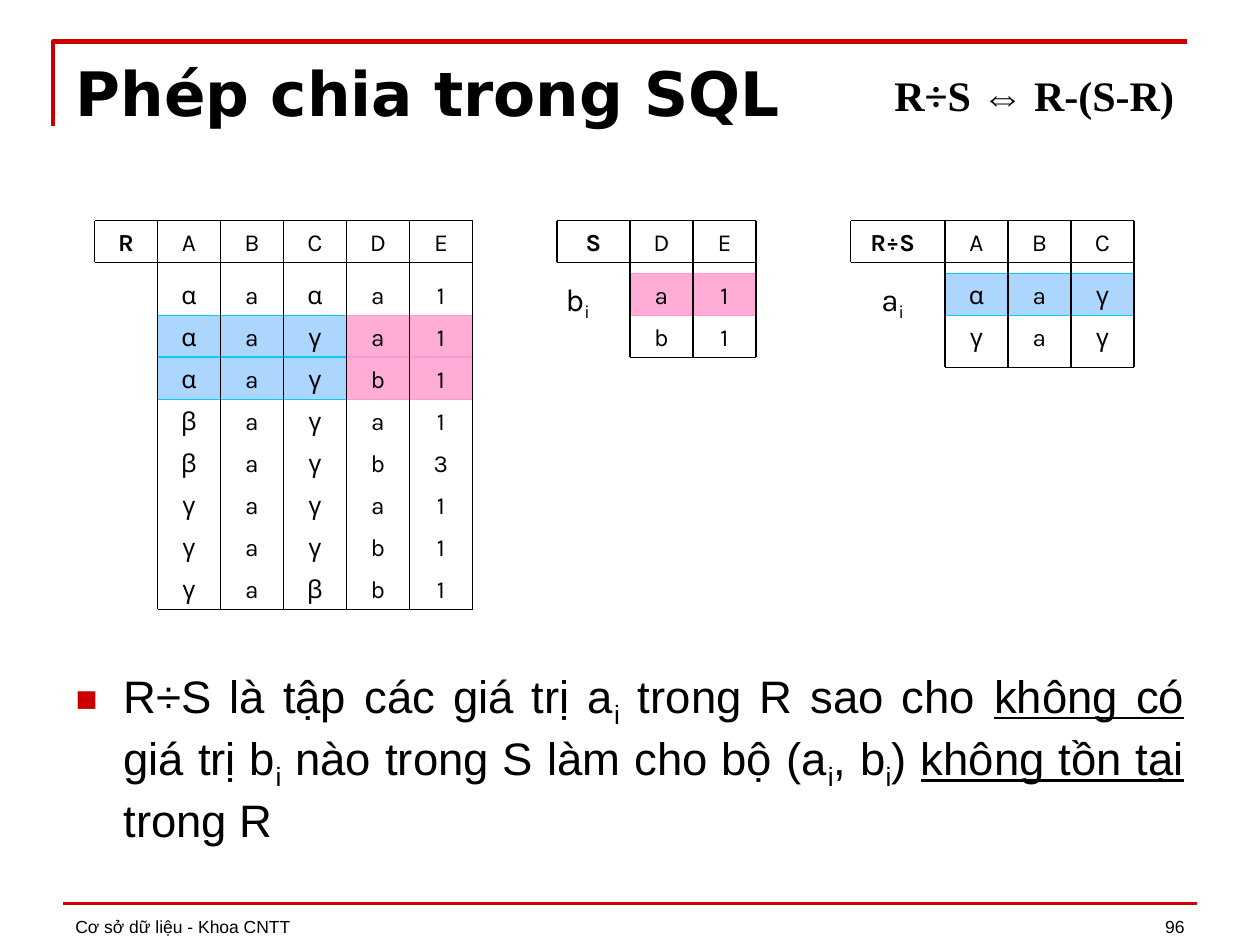
"""Build the slide on relational division in SQL."""
from lxml import etree
from pptx import Presentation
from pptx import util as u
from pptx.dml.color import RGBColor
from pptx.enum import shapes, text
from pptx.oxml.ns import qn

COLORS = {"black": "000000", "red": "CC0000",
          "pink": "FF99CC", "pink_line": "FF99CC",
          "blue": "99CCFF", "blue_line": "00CCFF"}
TITLE = "Phép chia trong SQL"
FORMULA = "R÷S ⇔ R-(S-R)"
FOOTER = "Cơ sở dữ liệu - Khoa CNTT"
PAGE_NUMBER = "96"
DEFINITION = [
    ("R÷S là tập các giá trị a", ""), ("i", "sub"), (" trong R sao cho ", ""),
    ("không có", "underline"), (" giá trị b", ""), ("i", "sub"),
    (" nào trong S làm cho bộ (a", ""), ("i", "sub"), (", b", ""), ("i", "sub"),
    (") ", ""), ("không tồn tại", "underline"), (" trong R", ""),
]
RELATIONS = [
    {"name": "R", "left": 0.75, "grid_left": 1.25, "name_width": 0.5, "padding": 0,
     "columns": "ABCDE",
     "rows": ["αaαa1", "αaγa1", "αaγb1", "βaγa1", "βaγb3", "γaγa1", "γaγb1", "γaβb1"]},
    {"name": "S", "left": 4.42, "grid_left": 5, "name_width": 0.58, "padding": 0,
     "columns": "DE", "rows": ["a1", "b1"]},
    {"name": "R÷S", "left": 6.75, "grid_left": 7.5, "name_width": 0.67, "padding": 0.08,
     "columns": "ABC", "rows": ["αaγ", "γaγ"]},
]
HIGHLIGHTS = [(2.75, 2, 2, "pink"), (1.25, 2, 3, "blue"), (2.75, 1, 2, "pink"),
              (1.25, 1, 3, "blue"), (5, 0, 2, "pink"), (7.5, 0, 3, "blue")]
TUPLE_LABELS = [("a", 6.75), ("b", 4.25)]
COLUMN, ROW = 0.5, 1 / 3
HEADER_TOP, ROWS_TOP = 1.75, 2.17


def color(name):
    return RGBColor.from_string(COLORS[name])


def style(paragraph, size, face, bold=False, align=text.PP_ALIGN.LEFT):
    paragraph.alignment = align
    font = paragraph.font
    font.size, font.name, font.bold = u.Pt(size), face, bold
    font.color.rgb = color("black")


def add_spans(paragraph, spans):
    for content, kind in spans:
        span = paragraph.add_run()
        span.text = content
        if kind == "sub":
            span._r.get_or_add_rPr().set("baseline", "-25000")
        elif kind == "underline":
            span.font.underline = True


def place(box, left, top, width, height):
    box.left, box.top, box.width, box.height = map(u.Inches, (left, top, width, height))


def add_text(parent, spans, area, size, face, anchor=text.MSO_ANCHOR.TOP, **options):
    box = parent.add_textbox(*map(u.Inches, area))
    frame = box.text_frame
    frame.word_wrap = True
    frame.vertical_anchor = anchor
    add_spans(frame.paragraphs[0], spans)
    style(frame.paragraphs[0], size, face, **options)


def add_line(parent, start, end, name="black", width=1):
    line = parent.add_connector(shapes.MSO_CONNECTOR.STRAIGHT,
                                *map(u.Inches, (*start, *end)))
    line.line.color.rgb = color(name)
    line.line.width = u.Pt(width)
    etree.SubElement(line._element.spPr, qn("a:effectLst"))


def add_frame(page):
    builder = page.shapes.build_freeform(u.Inches(0.42), u.Inches(1))
    corners = [(0.42, 0.33), (9.42, 0.33)]
    builder.add_line_segments([tuple(map(u.Inches, corner)) for corner in corners], close=False)
    corner_line = builder.convert_to_shape()
    corner_line.shadow.inherit = False
    corner_line.fill.background()
    corner_line.line.color.rgb = color("red")
    corner_line.line.width = u.Pt(2.5)
    add_line(page.shapes, (0.5, 7.17), (9.5, 7.17), "red", 2)
    bottom = text.MSO_ANCHOR.BOTTOM
    add_text(page.shapes, [(FOOTER, "")], (0.5, 6.99, 6.08, 0.5), 10, "Arial", bottom)
    add_text(page.shapes, [(PAGE_NUMBER, "")], (7.17, 6.99, 2.33, 0.5), 10, "Arial", bottom,
             align=text.PP_ALIGN.RIGHT)


def add_highlight(page, left, row, columns, name):
    area = (left, ROWS_TOP + row * ROW, columns * COLUMN, ROW)
    band = page.shapes.add_shape(shapes.MSO_SHAPE.RECTANGLE, *map(u.Inches, area))
    band.shadow.inherit = False
    band.fill.solid()
    band.fill.fore_color.rgb = color(name)
    tint = band._element.spPr.find(qn("a:solidFill"))[0]
    etree.SubElement(tint, qn("a:alpha"), val="80000")
    band.line.color.rgb = color(name + "_line")
    band.line.width = u.Pt(1)


def add_relation(page, relation):
    group = page.shapes.add_group_shape().shapes
    left, grid_left = relation["left"], relation["grid_left"]
    columns, rows = relation["columns"], relation["rows"]
    right = grid_left + len(columns) * COLUMN
    header_bottom = HEADER_TOP + ROW
    bottom = ROWS_TOP + len(rows) * ROW + relation["padding"]
    center = text.PP_ALIGN.CENTER

    add_text(group, [(relation["name"], "")], (left, HEADER_TOP, relation["name_width"], ROW),
             14, "Karla", bold=True, align=center)
    tops = [HEADER_TOP] + [ROWS_TOP + index * ROW for index in range(len(rows))]
    for top, values in zip(tops, [columns] + rows):
        for index, value in enumerate(values):
            add_text(group, [(value, "")], (grid_left + index * COLUMN, top, COLUMN, ROW),
                     14, "Karla", align=center)

    for start, y in [(left, HEADER_TOP), (left, header_bottom), (grid_left, bottom)]:
        add_line(group, (start, y), (right, y))
    add_line(group, (left, HEADER_TOP), (left, header_bottom))
    for index in range(len(columns) + 1):
        x = grid_left + index * COLUMN
        add_line(group, (x, HEADER_TOP), (x, bottom))


def fill_placeholders(page):
    title, body = page.shapes.title, page.placeholders[1]
    place(title, 0.5, 0.39, 9.25, 0.68)
    place(body, 0.5, 5.25, 9, 1.67)
    for box, spans in [(title, [(TITLE, "")]), (body, DEFINITION)]:
        box.text_frame.vertical_anchor = text.MSO_ANCHOR.TOP
        box.text_frame.auto_size = text.MSO_AUTO_SIZE.NONE
        add_spans(box.text_frame.paragraphs[0], spans)
    style(title.text_frame.paragraphs[0], 35, "DejaVu Sans", bold=True)

    paragraph = body.text_frame.paragraphs[0]
    paragraph.space_before = u.Pt(0)
    properties = paragraph._p.get_or_add_pPr()
    properties.set("marL", str(u.Inches(0.38)))
    properties.set("indent", str(u.Inches(-0.38)))
    bullet_color = etree.SubElement(properties, qn("a:buClr"))
    etree.SubElement(bullet_color, qn("a:srgbClr"), val=COLORS["red"])
    etree.SubElement(properties, qn("a:buSzPct"), val="80000")
    etree.SubElement(properties, qn("a:buFont"), typeface="Arial")
    etree.SubElement(properties, qn("a:buChar"), char="■")
    style(paragraph, 26, "Arial", align=text.PP_ALIGN.JUSTIFY)


def main():
    deck = Presentation()
    deck.slide_width, deck.slide_height = u.Inches(10), u.Inches(7.5)
    page = deck.slides.add_slide(deck.slide_layouts[1])
    fill_placeholders(page)
    add_frame(page)
    for highlight in HIGHLIGHTS:
        add_highlight(page, *highlight)
    for relation in RELATIONS:
        add_relation(page, relation)
    for letter, left in TUPLE_LABELS:
        add_text(page.shapes, [(letter, ""), ("i", "sub")], (left, ROWS_TOP, 0.67, 0.4),
                 18, "Karla", align=text.PP_ALIGN.CENTER)
    add_text(page.shapes, [(FORMULA, "")], (7, 0.5, 2.5, 0.5), 24, "Times New Roman", bold=True)
    deck.save("out.pptx")


if __name__ == "__main__":
    main()
